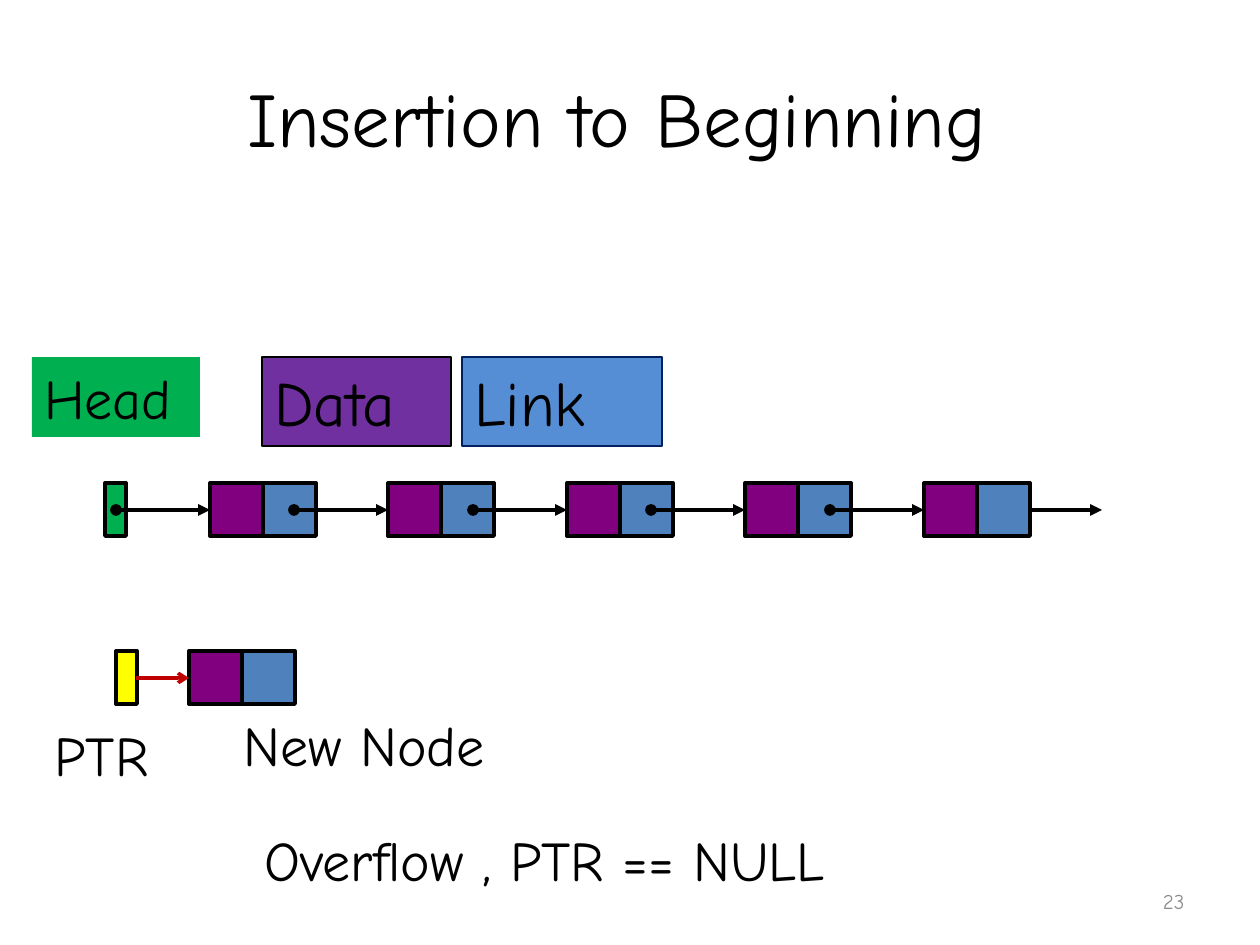
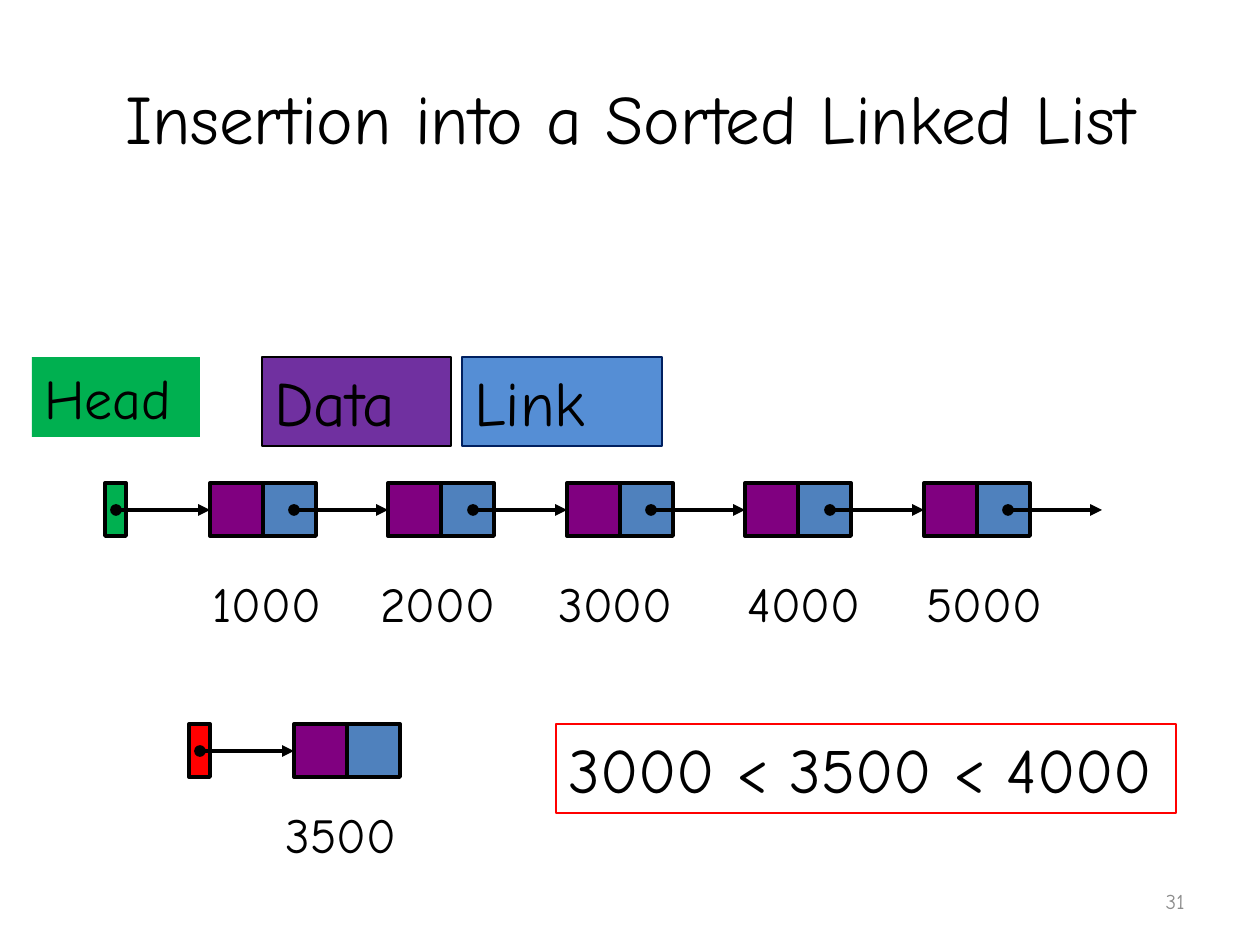
import pptx
import pptx.dml.color
import pptx.enum.shapes
import pptx.enum.text
import pptx.oxml.ns
import pptx.util
import lxml.etree

# Content: (text, box in pixels, format values)
FONT = "Comic Neue"
BLACK, GREEN, PURPLE, BLUE = "000000", "00B050", "800080", "4F81BD"
NUMBER_BOX = (903, 876, 294, 50)

LEGEND = [
    ("Head ", (32, 357, 168, 80), {"size": 32, "fill": GREEN}),
    ("Data ", (262, 357, 189, 89), {"size": 36, "fill": "7030A0", "line": BLACK}),
    ("Link ", (462, 357, 200, 89), {"size": 36, "fill": "558ED5", "line": "002060"}),
]
NODE_VALUES = [("1000", 200), ("2000", 368), ("3000", 546), ("4000", 735), ("5000", 914)]

SLIDES = [
    {
        "title": "Insertion to Beginning ", "title size": 44, "number": "23",
        "last arrow behind": True,
        "new node": {"left": 189, "top": 651, "pointer": 116, "color": "FFFF00",
                     "arrow": {"start": 136, "color": "C00000", "width": 2,
                               "head": None, "tail": "arrow"}},
        "texts": [
            ("New Node ", (231, 704, 325, 80), {"size": 32}),
            ("PTR", (42, 714, 147, 80), {"size": 32}),
            ("Overflow , PTR == NULL ", (252, 819, 746, 80), {"size": 32}),
        ],
    },
    {
        "title": "Insertion into a Sorted Linked List", "title size": 39.6, "number": "31",
        "last arrow behind": False,
        "new node": {"left": 294, "top": 724, "pointer": 189, "color": "FF0000", "arrow": {}},
        "texts": [(value, (left, 567, 178, 72), {"size": 28}) for value, left in NODE_VALUES]
        + [
            ("3500", (273, 798, 231, 72), {"size": 28}),
            ("3000 < 3500 < 4000", (556, 724, 620, 89),
             {"size": 36, "line": "FF0000", "line width": 0.75}),
        ],
    },
]

# Linked list geometry: five nodes, then the end of the last arrow
CELL, POINTER_WIDTH, ARROW_LENGTH, ARROW_DROP = 53, 21, 94, 27
LIST_TOP, HEAD_LEFT = 483, 105
*NODE_LEFTS, LIST_END = [210 + 357 * index // 2 for index in range(6)]


def px(value):
    return pptx.util.Emu(round(value * 914400 / 126))


def rgb(code):
    return pptx.dml.color.RGBColor.from_string(code)


def set_values(target, values):
    for name, value in values.items():
        setattr(target, name, value)


def paint(shape, fill, line, width):
    if fill:
        shape.fill.solid()
        shape.fill.fore_color.rgb = rgb(fill)
    if line:
        shape.line.color.rgb = rgb(line)
        shape.line.width = pptx.util.Pt(width)


def write(shape, text, size, color=BLACK, align="LEFT", anchor="TOP", fit="NONE"):
    frame = shape.text_frame
    set_values(frame, {
        "word_wrap": True,
        "auto_size": getattr(pptx.enum.text.MSO_AUTO_SIZE, fit),
        "vertical_anchor": getattr(pptx.enum.text.MSO_ANCHOR, anchor),
    })
    paragraph = frame.paragraphs[0]
    paragraph.alignment = getattr(pptx.enum.text.PP_ALIGN, align)
    run = paragraph.add_run()
    run.text = text
    set_values(run.font, {"name": FONT, "size": pptx.util.Pt(size)})
    run.font.color.rgb = rgb(color)


def add_label(slide, text, box, style):
    label = slide.shapes.add_textbox(*map(px, box))
    paint(label, style.get("fill"), style.get("line"), style.get("line width", 1))
    write(label, text, style["size"], fit="SHAPE_TO_FIT_TEXT")


def add_cell(shapes, left, top, width, fill):
    cell = shapes.add_shape(pptx.enum.shapes.MSO_SHAPE.RECTANGLE,
                            px(left), px(top), px(width), px(CELL))
    cell.shadow.inherit = False
    paint(cell, fill, BLACK, 2.25)


def add_node(slide, left, top):
    group = slide.shapes.add_group_shape()
    add_cell(group.shapes, left + CELL, top, CELL, BLUE)
    add_cell(group.shapes, left, top, CELL, PURPLE)


def add_arrow(slide, end, top, start=None, color=BLACK, width=2.25,
              head="oval", tail="triangle"):
    if start is None:
        start = end - ARROW_LENGTH
    level = px(top + ARROW_DROP)
    arrow = slide.shapes.add_connector(pptx.enum.shapes.MSO_CONNECTOR.STRAIGHT,
                                       px(start), level, px(end), level)
    paint(arrow, None, color, width)
    line = arrow.line._get_or_add_ln()
    for tag, kind in (("a:headEnd", head), ("a:tailEnd", tail)):
        if kind:
            lxml.etree.SubElement(line, pptx.oxml.ns.qn(tag), type=kind)
    lxml.etree.SubElement(arrow._element.spPr, pptx.oxml.ns.qn("a:effectLst"))


def build_slide(presentation, content):
    slide = presentation.slides.add_slide(presentation.slide_layouts[5])

    # Title
    title = slide.shapes.title
    set_values(title, dict(zip(("left", "top", "width", "height"),
                               map(px, (63, 38, 1134, 157)))))
    write(title, content["title"], content["title size"], align="CENTER", anchor="MIDDLE")

    # Linked list; the last arrow may start hidden behind its node
    arrow_ends = NODE_LEFTS + [LIST_END]
    if content["last arrow behind"]:
        add_arrow(slide, arrow_ends.pop(), LIST_TOP)
    for left in NODE_LEFTS:
        add_node(slide, left, LIST_TOP)
    add_cell(slide.shapes, HEAD_LEFT, LIST_TOP, POINTER_WIDTH, GREEN)
    for end in arrow_ends:
        add_arrow(slide, end, LIST_TOP)

    # New node and its pointer
    node = content["new node"]
    add_node(slide, node["left"], node["top"])
    add_cell(slide.shapes, node["pointer"], node["top"], POINTER_WIDTH, node["color"])
    add_arrow(slide, node["left"], node["top"], **node["arrow"])

    # Legend, captions and slide number
    for text, box, style in LEGEND + content["texts"]:
        add_label(slide, text, box, style)
    number = slide.shapes.add_textbox(*map(px, NUMBER_BOX))
    write(number, content["number"], 12, color="8C8C8C", align="RIGHT", anchor="MIDDLE")


presentation = pptx.Presentation()
set_values(presentation, {"slide_width": px(1260), "slide_height": px(945)})
for content in SLIDES:
    build_slide(presentation, content)
presentation.save("out.pptx")
